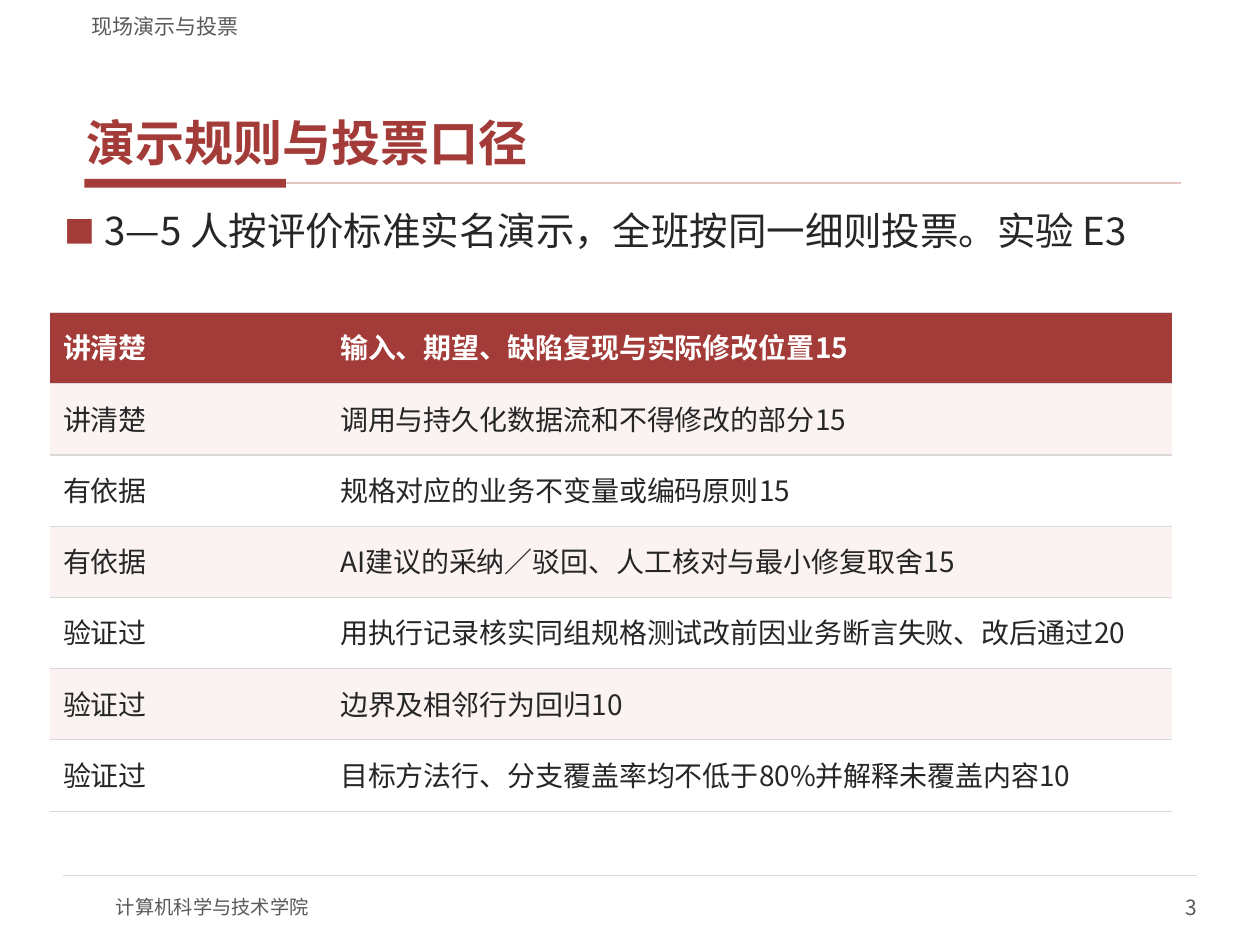
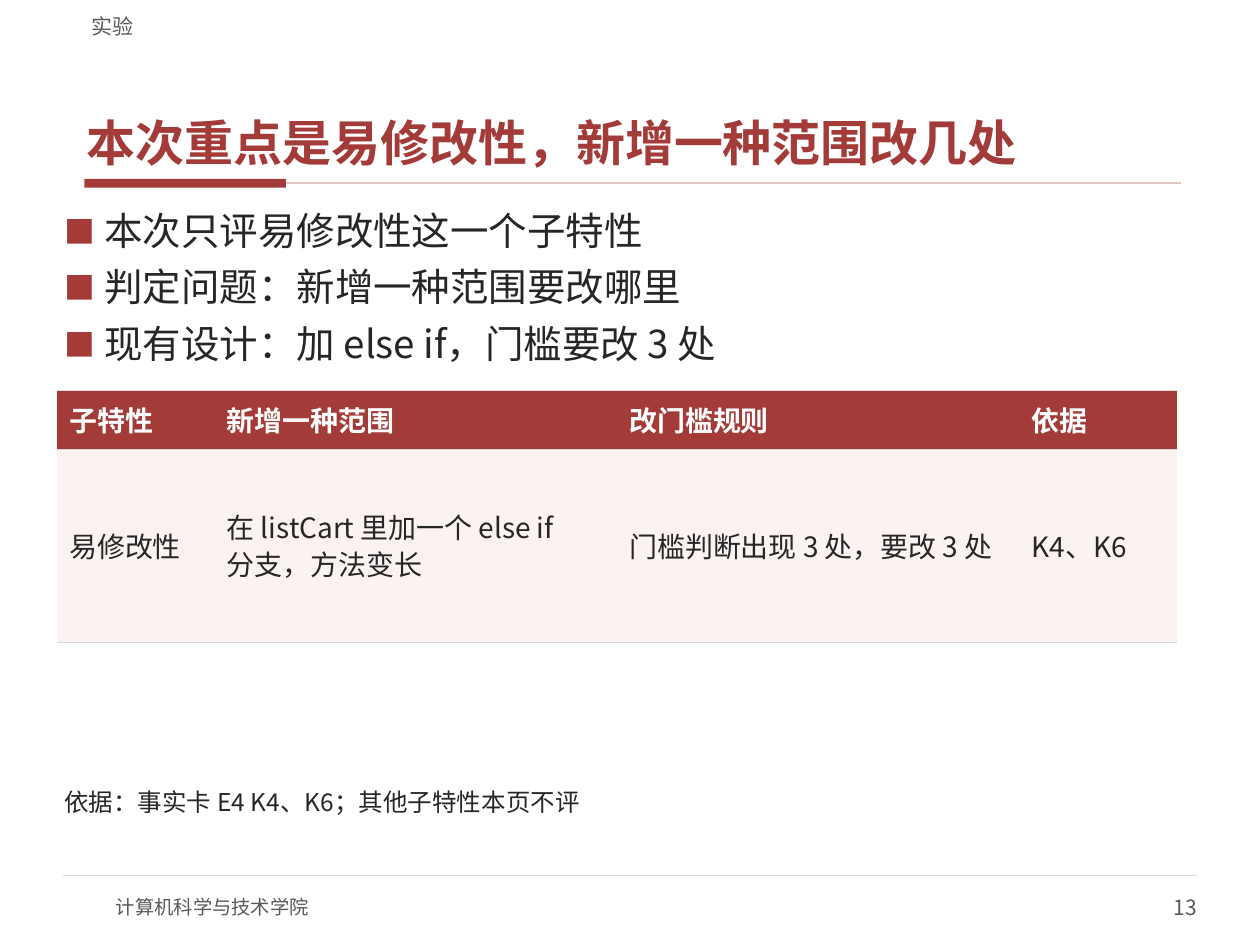
from lxml import etree
from pptx import Presentation
from pptx import util as u
from pptx.dml.color import RGBColor
from pptx.enum import shapes, text
from pptx.oxml import ns

FONT = "Noto Sans CJK SC"
COLORS = {
    "accent": "A33B38", "rule": "E3C4C2", "border": "D9D9D9", "band": "FBF3F2",
    "white": "FFFFFF", "body": "262626", "muted": "595959",
}
PLAIN_TABLE = "{2D5ABB26-0587-4C30-8999-92F81FD0307C}"
TIGHT = (0.06, 0.02)
FOOTER = "计算机科学与技术学院"

# Areas are left, top, width, height on a grid of 100 columns by 75 rows.
TITLE_AREA = (6.3, 3.3, 87.5, 10.5)
HEADER_AREA = (6.3, 0.4, 87.5, 2.7)
NOTE_AREA = (4.5, 62.3, 91, 5)
FOOTER_AREA = (9.2, 70, 40, 4)
NUMBER_AREA = (75, 70, 20, 4)
ACCENT_AREA = (6.7, 14.2, 16, 0.7)

PAGES = [
    {
        "number": "3",
        "header": "现场演示与投票",
        "title": "演示规则与投票口径",
        "bullets": ["3—5 人按评价标准实名演示，全班按同一细则投票。实验 E3"],
        "bullet_rows": 7.8,
        "table_area": (4, 24.8, 89, 39.6),
        "columns": [22, 67],
        "rows": [39.6 / 7] * 7,
        "cells": [
            ["讲清楚", "输入、期望、缺陷复现与实际修改位置15"],
            ["讲清楚", "调用与持久化数据流和不得修改的部分15"],
            ["有依据", "规格对应的业务不变量或编码原则15"],
            ["有依据", "AI建议的采纳／驳回、人工核对与最小修复取舍15"],
            ["验证过", "用执行记录核实同组规格测试改前因业务断言失败、改后通过20"],
            ["验证过", "边界及相邻行为回归10"],
            ["验证过", "目标方法行、分支覆盖率均不低于80%并解释未覆盖内容10"],
        ],
        "note": None,
    },
    {
        "number": "13",
        "header": "实验",
        "title": "本次重点是易修改性，新增一种范围改几处",
        "bullets": [
            "本次只评易修改性这一个子特性",
            "判定问题：新增一种范围要改哪里",
            "现有设计：加 else if，门槛要改 3 处",
        ],
        "bullet_rows": 13.7,
        "table_area": (4.5, 31, 88.9, 20),
        "columns": [12.5, 31.95, 31.95, 12.5],
        "rows": [4.7, 15.3],
        "cells": [
            ["子特性", "新增一种范围", "改门槛规则", "依据"],
            ["易修改性", "在 listCart 里加一个 else if \v分支，方法变长",
             "门槛判断出现 3 处，要改 3 处", "K4、K6"],
        ],
        "note": "依据：事实卡 E4 K4、K6；其他子特性本页不评",
    },
]

presentation = Presentation()
presentation.slide_width = u.Inches(10)
presentation.slide_height = u.Inches(7.5)
UNIT = presentation.slide_width / 100


def grid(*steps):
    """Turn grid steps into slide lengths."""
    return [u.Emu(round(step * UNIT)) for step in steps]


def write(frame, lines, size, color, bold=False, anchor=text.MSO_ANCHOR.TOP,
          inset=None, align=text.PP_ALIGN.LEFT, before=0, after=0,
          spacing=1.0, bullet=None):
    """Fill a text frame or a table cell with evenly styled paragraphs."""
    frame.vertical_anchor = anchor
    if inset:
        frame.margin_left = frame.margin_right = u.Inches(inset[0])
        frame.margin_top = frame.margin_bottom = u.Inches(inset[1])
    body = getattr(frame, "text_frame", frame)
    body.word_wrap = True
    for index, line in enumerate(lines):
        paragraph = body.add_paragraph() if index else body.paragraphs[0]
        paragraph.text = line
        paragraph.alignment = align
        paragraph.line_spacing = spacing
        paragraph.space_before = u.Pt(before if index else 0)
        paragraph.space_after = u.Pt(after)
        if bullet:
            properties = paragraph._p.get_or_add_pPr()
            properties.set("marL", str(u.Inches(0.32)))
            properties.set("indent", str(-u.Inches(0.32)))
            bullet_color = etree.SubElement(properties, ns.qn("a:buClr"))
            etree.SubElement(bullet_color, ns.qn("a:srgbClr"), val=COLORS["accent"])
            etree.SubElement(properties, ns.qn("a:buSzPct"), val="80000")
            etree.SubElement(properties, ns.qn("a:buFont"), typeface=FONT)
            etree.SubElement(properties, ns.qn("a:buChar"), char=bullet)
        font = paragraph.font
        font.size = u.Pt(size)
        font.bold = bold
        font.color.rgb = RGBColor.from_string(COLORS[color])
        font.name = FONT
        etree.SubElement(font._element, ns.qn("a:ea"), typeface=FONT)


for page in PAGES:
    slide = presentation.slides.add_slide(presentation.slide_layouts[1])

    # Title rule and footer rule
    accent = slide.shapes.add_shape(shapes.MSO_SHAPE.RECTANGLE, *grid(*ACCENT_AREA))
    accent.shadow.inherit = False
    accent.fill.solid()
    accent.fill.fore_color.rgb = RGBColor.from_string(COLORS["accent"])
    accent.line.fill.background()
    rules = []
    for left, right, row, color, weight in [
        (22.7, 93.7, 14.55, "rule", 1),
        (5, 95, 69.5, "border", 0.75),
    ]:
        rule = slide.shapes.add_connector(
            shapes.MSO_CONNECTOR.STRAIGHT, *grid(left, row, right, row))
        rule.line.color.rgb = RGBColor.from_string(COLORS[color])
        rule.line.width = u.Pt(weight)
        etree.SubElement(rule._element.spPr, ns.qn("a:effectLst"))
        rules.append(rule)
    rules[0].begin_connect(accent, 3)

    # Title and bullets
    title, bullets = slide.placeholders
    bullet_area = (4.5, 16.2, 91, page["bullet_rows"])
    for placeholder, area in [(title, TITLE_AREA), (bullets, bullet_area)]:
        placeholder.left, placeholder.top, placeholder.width, placeholder.height = grid(*area)
        placeholder.text_frame.auto_size = text.MSO_AUTO_SIZE.NONE
    write(title.text_frame, [page["title"]], 28, "accent", bold=True,
          anchor=text.MSO_ANCHOR.BOTTOM, inset=TIGHT, after=2)
    write(bullets.text_frame, page["bullets"], 22, "body", inset=TIGHT,
          before=4, after=2, bullet="■")

    # Table
    table = slide.shapes.add_table(
        len(page["rows"]), len(page["columns"]), *grid(*page["table_area"])).table
    table._tbl.tblPr.find(ns.qn("a:tableStyleId")).text = PLAIN_TABLE
    table.horz_banding = False
    for column, width in zip(table.columns, grid(*page["columns"])):
        column.width = width
    for row, height in zip(table.rows, grid(*page["rows"])):
        row.height = height
    for row_index, row in enumerate(page["cells"]):
        is_head = row_index == 0
        fill = "accent" if is_head else "band" if row_index % 2 else "white"
        for column_index, value in enumerate(row):
            cell = table.cell(row_index, column_index)
            write(cell, [value], 16, "white" if is_head else "body", bold=is_head,
                  anchor=text.MSO_ANCHOR.MIDDLE, after=2, spacing=0.9)
            for side in ("a:lnT", "a:lnB"):
                border = etree.SubElement(
                    cell._tc.get_or_add_tcPr(), ns.qn(side), w=str(u.Pt(0.75)))
                border_fill = etree.SubElement(border, ns.qn("a:solidFill"))
                etree.SubElement(border_fill, ns.qn("a:srgbClr"), val=COLORS["border"])
            cell.fill.solid()
            cell.fill.fore_color.rgb = RGBColor.from_string(COLORS[fill])

    # Header, footer, page number and note
    middle, bottom = text.MSO_ANCHOR.MIDDLE, text.MSO_ANCHOR.BOTTOM
    left, right = text.PP_ALIGN.LEFT, text.PP_ALIGN.RIGHT
    for label, area, size, color, anchor, inset, align in [
        (page["header"], HEADER_AREA, 12, "muted", bottom, (0.1, 0), left),
        (FOOTER, FOOTER_AREA, 11, "muted", middle, (0, 0), left),
        (page["number"], NUMBER_AREA, 12, "muted", middle, (0, 0), right),
        (page["note"], NOTE_AREA, 14, "body", text.MSO_ANCHOR.TOP, TIGHT, left),
    ]:
        if label:
            box = slide.shapes.add_textbox(*grid(*area))
            write(box.text_frame, [label], size, color, anchor=anchor,
                  inset=inset, align=align)

presentation.save("out.pptx")
